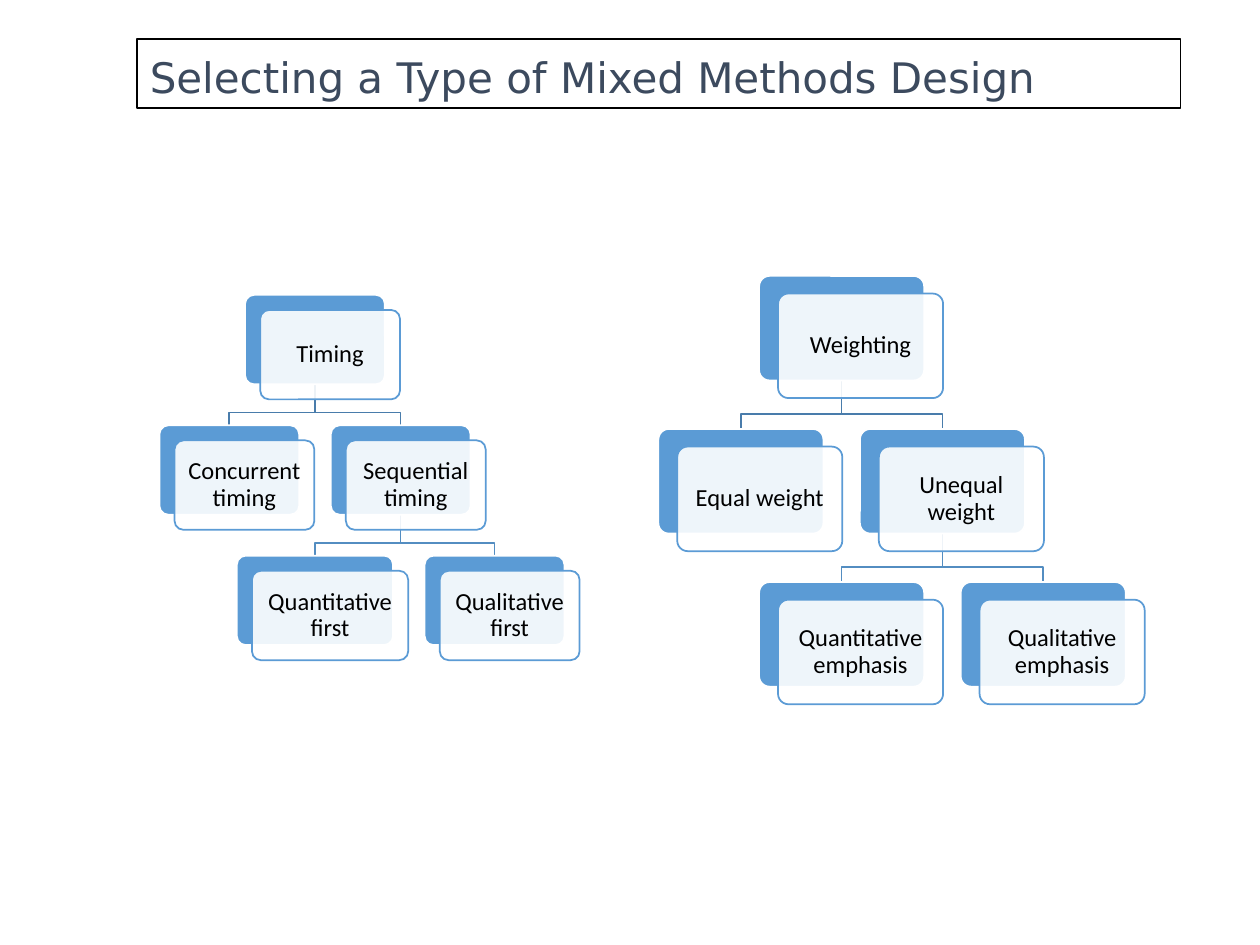
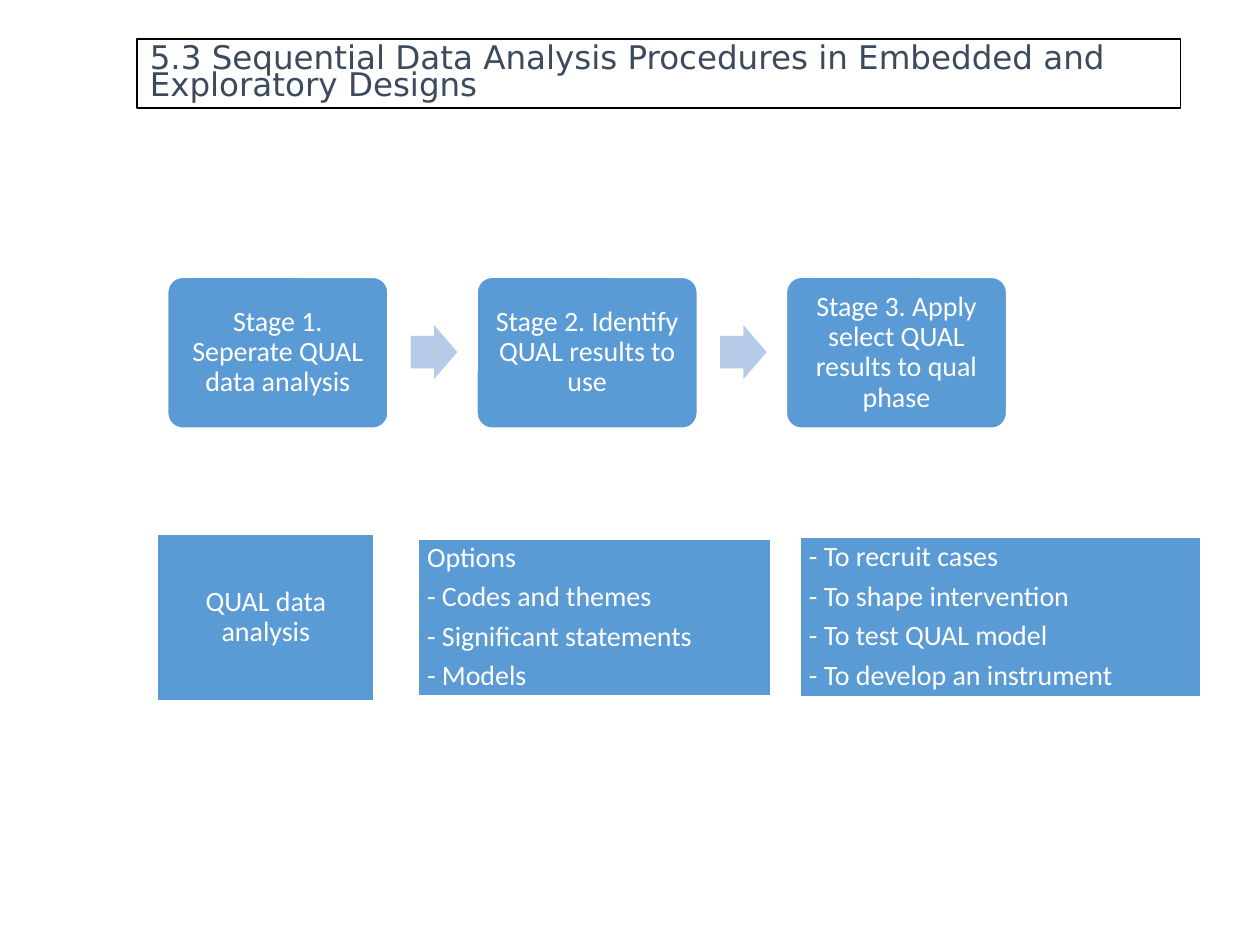
from lxml.etree import SubElement
from pptx import Presentation
from pptx.dml.color import RGBColor
from pptx.enum.shapes import MSO_SHAPE as Geometry
from pptx.enum.text import MSO_ANCHOR as Anchor, PP_ALIGN as Align
from pptx.oxml.ns import qn
from pptx.util import Inches, Pt

COLORS = {
    "blue": "5B9BD5",
    "arrow": "B5CBE7",
    "white": "FFFFFF",
    "black": "000000",
    "title": "3C4A5E",
    "link1": "497CAB",
    "link2": "538DC1",
}
BODY_FONT, TITLE_FONT = "Calibri", "DejaVu Sans"


def rgb(name):
    return RGBColor.from_string(COLORS[name])


def write(shape, text, size=16, color="white", font=BODY_FONT, align=Align.CENTER,
          anchor=Anchor.MIDDLE, insets=(0.07, 0.07), line_spacing=0.9):
    frame = shape.text_frame
    frame.word_wrap = True
    frame.vertical_anchor = anchor
    frame.margin_left = frame.margin_right = Inches(insets[0])
    frame.margin_top = frame.margin_bottom = Inches(insets[1])
    for index, line in enumerate(text.split("\n")):
        paragraph = frame.add_paragraph() if index else frame.paragraphs[0]
        paragraph.alignment = align
        paragraph.line_spacing = line_spacing
        paragraph.space_after = Pt(round(size * 0.33, 1))
        run = paragraph.add_run()
        run.text = line
        run.font.size = Pt(size)
        run.font.name = font
        run.font.color.rgb = rgb(color)


class Deck:
    """Holds the shared style and the slide being drawn."""

    def __init__(self):
        self.deck = Presentation()
        self.deck.slide_width, self.deck.slide_height = Inches(10), Inches(7.5)

    def new_slide(self, title, size=24, line_spacing=0.9):
        self.shapes = self.deck.slides.add_slide(self.deck.slide_layouts[6]).shapes
        band = self.block(1.09, 0.31, 8.28, 0.55, fill="white", line="black")
        write(band, title, size=size, color="title", font=TITLE_FONT, align=Align.LEFT,
              anchor=Anchor.BOTTOM, insets=(0.1, 0.05), line_spacing=line_spacing)

    def block(self, left, top, width, height, kind=Geometry.RECTANGLE,
              fill="blue", line="white", adjust=(), opacity=None):
        shape = self.shapes.add_shape(
            kind, Inches(left), Inches(top), Inches(width), Inches(height))
        shape.shadow.inherit = False
        for index, value in enumerate(adjust):
            shape.adjustments[index] = value
        shape.fill.solid()
        shape.fill.fore_color.rgb = rgb(fill)
        if opacity:
            color = next(shape.fill._xPr.iter(qn("a:srgbClr")))
            SubElement(color, qn("a:alpha"), val=str(opacity * 1000))
        if line:
            shape.line.color.rgb = rgb(line)
            shape.line.width = Pt(1)
        else:
            shape.line.fill.background()
        return shape

    def rounded(self, *box, **style):
        return self.block(*box, kind=Geometry.ROUNDED_RECTANGLE, adjust=[0.1], **style)

    def arrow(self, *box):
        self.block(*box, kind=Geometry.RIGHT_ARROW, fill="arrow", line=None,
                   adjust=[0.6, 0.5])

    def link(self, start, end, color):
        (x1, y1), (x2, y2) = start, end
        bend = y1 + (y2 - y1) * 0.69
        corners = [(Inches(x), Inches(y)) for x, y in ((x1, bend), (x2, bend), end)]
        builder = self.shapes.build_freeform(Inches(x1), Inches(y1))
        builder.add_line_segments(corners, close=False)
        elbow = builder.convert_to_shape()
        elbow.shadow.inherit = False
        elbow.fill.background()
        elbow.line.color.rgb = rgb(color)
        elbow.line.width = Pt(1)

    def card(self, text, left, top, width, height, offset):
        self.rounded(left, top, width, height)
        front = self.rounded(left + offset[0], top + offset[1], width, height,
                             fill="white", line="blue", opacity=90)
        write(front, text, size=14, color="black", insets=(0.08, 0.08))

    def tree(self, node, center, top, size, gap, offset, level=1):
        text, children, *wider = node
        width, height = size[0] + sum(wider), size[1]
        widths = [size[0] + sum(extra) for _, _, *extra in children]
        left = center - (sum(widths) + gap[0] * (len(children) - 1)) / 2
        child_top = top + height + gap[1]
        for child, child_width in zip(children, widths):
            middle = left + child_width / 2
            self.link((center, top + height), (middle, child_top), f"link{level}")
            self.tree(child, middle, child_top, size, gap, offset, level + 1)
            left += child_width + gap[0]
        self.card(text, center - width / 2, top, width, height, offset)


def draw_design_choices(deck):
    deck.new_slide("Selecting a Type of Mixed Methods Design")
    timing = ("Timing", [
        ("Concurrent timing", []),
        ("Sequential timing", [("Quantitative first", [], 0.13), ("Qualitative first", [])]),
    ])
    weighting = ("Weighting", [
        ("Equal weight", []),
        ("Unequal weight", [("Quantitative emphasis", []), ("Qualitative emphasis", [])]),
    ])
    deck.tree(timing, 2.5, 2.34, size=(1.11, 0.71), gap=(0.25, 0.325), offset=(0.12, 0.12))
    deck.tree(weighting, 6.68, 2.19, size=(1.31, 0.83), gap=(0.29, 0.385), offset=(0.15, 0.14))


def draw_analysis_stages(deck):
    deck.new_slide("5.3 Sequential Data Analysis Procedures in Embedded and Exploratory Designs",
                   size=18.6, line_spacing=0.7)
    stages = [
        "Stage 1. Seperate QUAL data analysis",
        "Stage 2. Identify QUAL results to use",
        "Stage 3. Apply select QUAL results to qual phase",
    ]
    for index, stage in enumerate(stages):
        left = 1.33 + 2.455 * index
        write(deck.rounded(left, 2.2, 1.75, 1.2), stage, insets=(0.1, 0.1))
        if index < len(stages) - 1:
            deck.arrow(left + 1.93, 2.58, 0.37, 0.43)

    details = [
        ("QUAL data analysis", Align.CENTER, (1.25, 4.24, 1.72, 1.32)),
        ("Options\n- Codes and themes\n- Significant statements\n- Models",
         Align.LEFT, (3.32, 4.28, 2.8, 1.24)),
        ("- To recruit cases\n- To shape intervention\n- To test QUAL model\n"
         "- To develop an instrument", Align.LEFT, (6.35, 4.26, 3.18, 1.27)),
    ]
    for text, align, box in details:
        write(deck.block(*box), text, align=align)


def main():
    deck = Deck()
    draw_design_choices(deck)
    draw_analysis_stages(deck)
    deck.deck.save("out.pptx")


if __name__ == "__main__":
    main()
